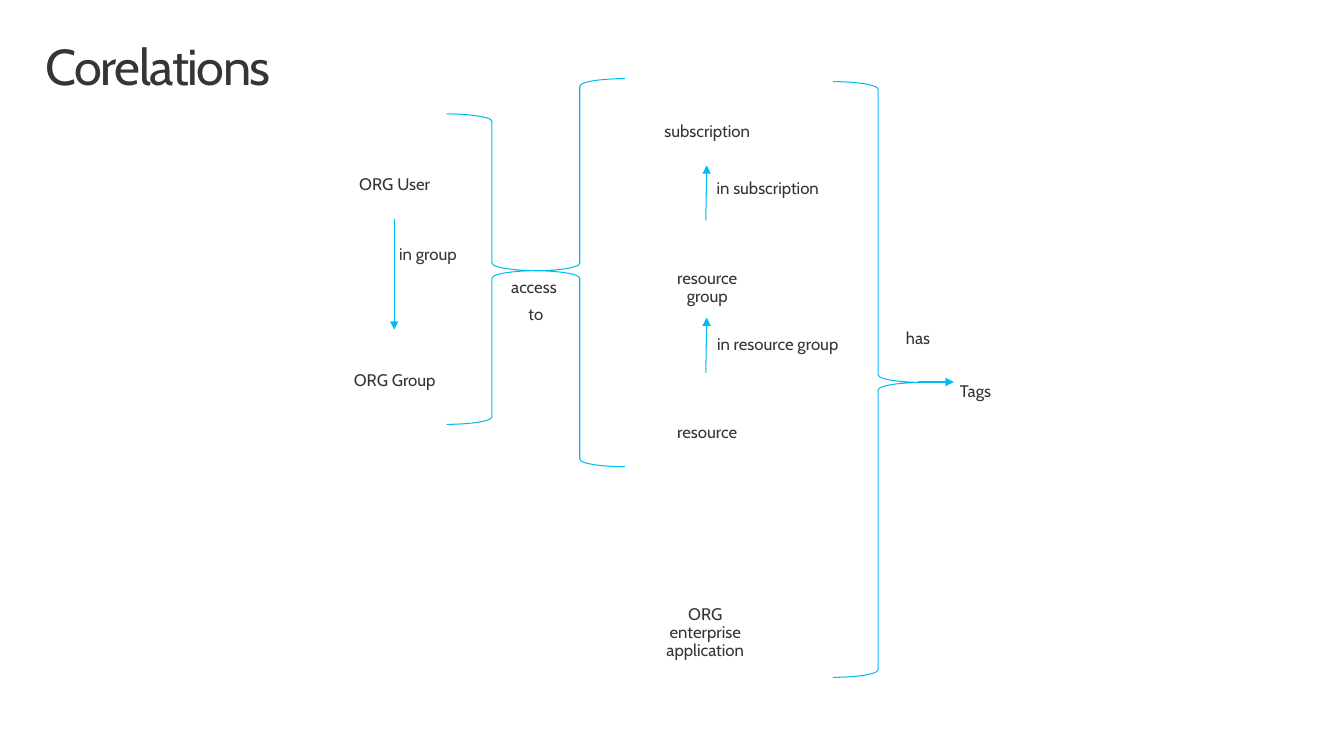
import pptx
import pptx.util
import pptx.dml.color
import pptx.enum.shapes
import pptx.enum.text
import pptx.oxml
import pptx.oxml.ns

Inches = pptx.util.Inches
Pt = pptx.util.Pt
Shape = pptx.enum.shapes.MSO_SHAPE
Align = pptx.enum.text.PP_ALIGN

COLORS = {"text": "353535", "line": "00BCF2"}
FONT = "Cabin"
WIDE = 1.41

LABELS = [
    ("ORG User", 3.21, 1.66, WIDE, 0.5),
    ("in group", 3.54, 2.35, WIDE, 0.5),
    ("ORG Group", 3.21, 3.6, WIDE, 0.5),
    ("access \nto", 4.61, 2.61, WIDE, 0.77),
    ("subscription", 6.31, 1.13, WIDE, 0.5),
    ("in subscription", 6.82, 1.7, 1.59, 0.5),
    ("resource group", 6.31, 2.52, WIDE, 0.69),
    ("in resource group", 6.85, 3.24, 1.73, 0.5),
    ("resource", 6.31, 4.12, WIDE, 0.5),
    ("ORG enterprise application", 6.29, 5.85, WIDE, 0.87),
    ("has", 8.4, 3.18, WIDE, 0.5),
    ("Tags", 8.97, 3.71, WIDE, 0.5),
]
ARROWS = [
    (3.91, 2.17, 3.91, 3.27),
    (7, 2.19, 7.01, 1.64),
    (7, 3.7, 7.01, 3.15),
    (9.1, 3.79, 9.46, 3.79),
]
BRACES = [
    (4.43, 1.13, 3.08, 0),
    (5.3, 0.78, 3.85, 180),
    (8.26, 0.81, 5.91, 0),
]


def color(name):
    return pptx.dml.color.RGBColor.from_string(COLORS[name])


def assign(item, values):
    for name, value in values.items():
        setattr(item, name, value)


def add_text(slide, text, place, size, pad, align, after):
    box = slide.shapes.add_textbox(*map(Inches, place))
    frame = box.text_frame
    side, edge = map(Inches, pad)
    assign(frame, {
        "word_wrap": True,
        "margin_left": side,
        "margin_right": side,
        "margin_top": edge,
        "margin_bottom": edge,
        "text": text,
    })
    for para in frame.paragraphs:
        assign(para, {"alignment": align, "line_spacing": 0.9, "space_after": Pt(after)})
        for run in para.runs:
            assign(run.font, {"name": FONT, "size": Pt(size)})
            run.font.color.rgb = color("text")
    return frame


def add_title(slide, text):
    frame = add_text(slide, text, (0.29, 0.32, 12.75, 0.98), 36, (0.16, 0.1), Align.LEFT, 0)
    frame.paragraphs[0].runs[0].font._element.set("spc", "-100")


def add_label(slide, text, *place):
    add_text(slide, text, place, 12, (0.2, 0.16), Align.CENTER, 6)


def style_line(line):
    line.color.rgb = color("line")
    line.width = Pt(0.75)


def add_arrow(slide, *ends):
    kind = pptx.enum.shapes.MSO_CONNECTOR.STRAIGHT
    arrow = slide.shapes.add_connector(kind, *map(Inches, ends))
    style_line(arrow.line)
    make = pptx.oxml.ns.qn
    stroke = arrow.line._get_or_add_ln()
    stroke.append(stroke.makeelement(make("a:tailEnd"), {"type": "triangle"}))
    props = arrow._element.spPr
    props.append(props.makeelement(make("a:effectLst"), {}))


def add_brace(slide, left, top, height, turn):
    place = map(Inches, (left, top, 0.9, height))
    brace = slide.shapes.add_shape(Shape.RIGHT_BRACE, *place)
    brace.shadow.inherit = False
    brace.fill.background()
    style_line(brace.line)
    brace.rotation = turn
    brace.adjustments[0] = 0.083
    brace.adjustments[1] = 0.505


def main():
    deck = pptx.Presentation()
    assign(deck, {"slide_width": Inches(13.33), "slide_height": Inches(7.5)})
    slide = deck.slides.add_slide(deck.slide_layouts[6])
    add_title(slide, "Corelations")
    for label in LABELS:
        add_label(slide, *label)
    for arrow in ARROWS:
        add_arrow(slide, *arrow)
    for brace in BRACES:
        add_brace(slide, *brace)
    deck.save("out.pptx")


if __name__ == "__main__":
    main()
